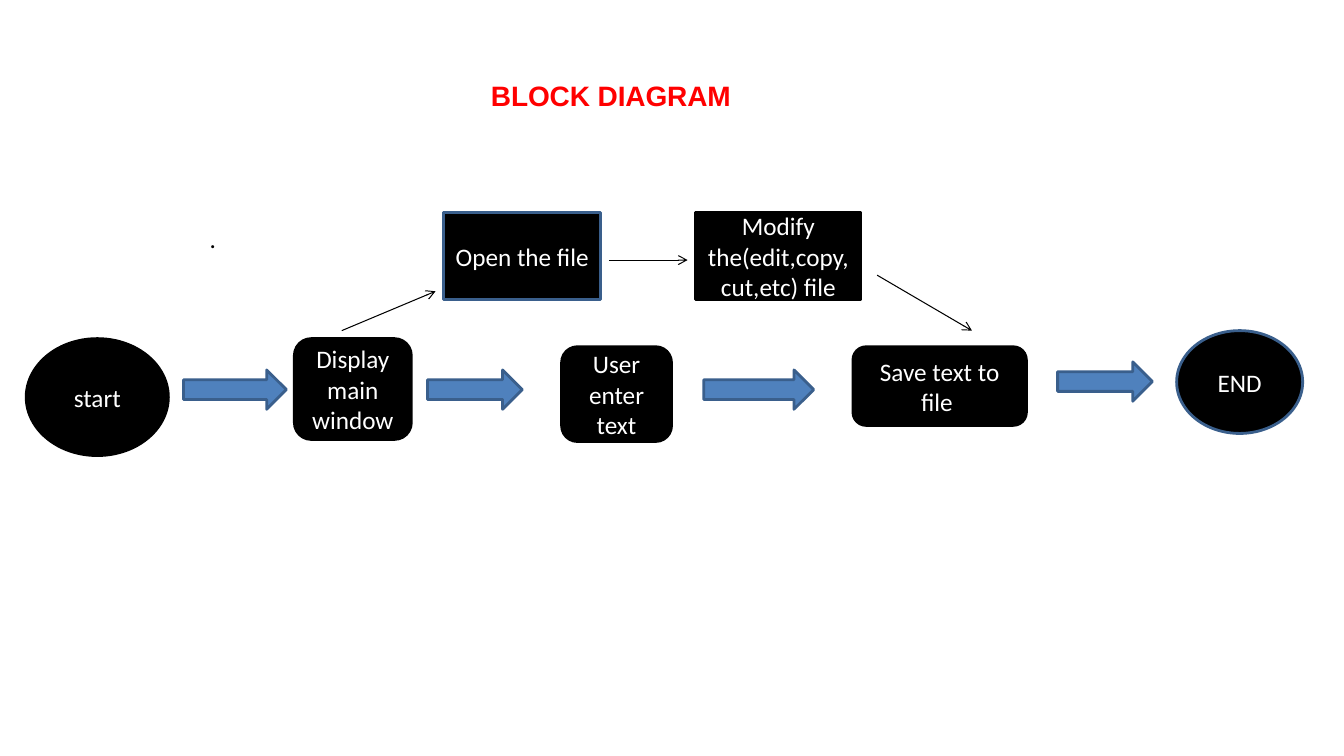
from dataclasses import dataclass

from lxml.etree import SubElement
from pptx import Presentation
from pptx.dml.color import RGBColor
from pptx.enum.shapes import MSO_CONNECTOR, MSO_SHAPE
from pptx.enum.text import MSO_ANCHOR, PP_ALIGN
from pptx.oxml.ns import qn
from pptx.shapes.autoshape import Shape
from pptx.slide import Slide
from pptx.util import Inches, Pt

BLACK = RGBColor(0x00, 0x00, 0x00)
WHITE = RGBColor(0xFF, 0xFF, 0xFF)
RED = RGBColor(0xFF, 0x00, 0x00)
BLUE = RGBColor(0x4F, 0x81, 0xBD)
DARK_BLUE = RGBColor(0x3A, 0x5F, 0x8C)


@dataclass(frozen=True)
class Label:
    text: str
    left: float
    top: float
    width: float
    height: float
    inset_top: float
    space_before: float
    size: float
    font: str
    color: RGBColor
    bold: bool
    spacing: int


@dataclass(frozen=True)
class Step:
    text: str
    outline: MSO_SHAPE
    left: float
    top: float
    width: float
    height: float
    border: RGBColor = BLACK


@dataclass(frozen=True)
class BlockArrow:
    left: float
    width: float
    top: float = 3.67
    height: float = 0.39


@dataclass(frozen=True)
class Link:
    start_x: float
    start_y: float
    end_x: float
    end_y: float


LABELS = [
    Label("BLOCK DIAGRAM", 4.86, 0.71, 3.36, 0.41, 0.07, 5.1, 20, "Arial", RED, True, -10),
    Label(".", 2.07, 2.21, 0.09, 0.33, 0.01, 1, 18, "Calibri", BLACK, False, -50),
]
STEPS = [
    Step("start", MSO_SHAPE.OVAL, 0.26, 3.36, 1.41, 1.16),
    Step("Display main window", MSO_SHAPE.ROUNDED_RECTANGLE, 2.92, 3.36, 1.16, 1),
    Step("User enter text", MSO_SHAPE.ROUNDED_RECTANGLE, 5.57, 3.44, 1.09, 0.94),
    Step("Save text to file ", MSO_SHAPE.ROUNDED_RECTANGLE, 8.46, 3.44, 1.72, 0.78),
    Step("END", MSO_SHAPE.OVAL, 11.67, 3.28, 1.25, 1.02, DARK_BLUE),
    Step("Open the file", MSO_SHAPE.RECTANGLE, 4.4, 2.11, 1.56, 0.86, DARK_BLUE),
    Step("Modify the(edit,copy,cut,etc) file", MSO_SHAPE.RECTANGLE, 6.9, 2.11, 1.64, 0.86),
]
BLOCK_ARROWS = [
    BlockArrow(1.82, 1.02),
    BlockArrow(4.24, 0.94),
    BlockArrow(6.98, 1.09),
    BlockArrow(10.49, 0.94, top=3.59),
]
LINKS = [
    Link(3.39, 3.28, 4.32, 2.89),
    Link(6.04, 2.58, 6.82, 2.58),
    Link(8.7, 2.73, 9.64, 3.28),
]


def draw_label(slide: Slide, label: Label) -> None:
    box = slide.shapes.add_textbox(
        Inches(label.left), Inches(label.top), Inches(label.width), Inches(label.height)
    )
    frame = box.text_frame
    frame.word_wrap = True
    frame.margin_left = frame.margin_right = frame.margin_bottom = 0
    frame.margin_top = Inches(label.inset_top)
    paragraph = frame.paragraphs[0]
    paragraph.space_before = Pt(label.space_before)
    properties = paragraph._p.get_or_add_pPr()
    properties.set("marL", str(Inches(0.01)))
    properties.set("indent", "0")
    run = paragraph.add_run()
    run.text = label.text
    run.font.name = label.font
    run.font.size = Pt(label.size)
    run.font.bold = label.bold
    run.font.color.rgb = label.color
    run._r.get_or_add_rPr().set("spc", str(label.spacing))


def draw_filled(
    slide: Slide, outline: MSO_SHAPE, part: Step | BlockArrow, fill: RGBColor, border: RGBColor
) -> Shape:
    shape = slide.shapes.add_shape(
        outline, Inches(part.left), Inches(part.top), Inches(part.width), Inches(part.height)
    )
    shape.shadow.inherit = False
    shape.fill.solid()
    shape.fill.fore_color.rgb = fill
    shape.line.color.rgb = border
    shape.line.width = Pt(2)
    return shape


def draw_step(slide: Slide, step: Step) -> None:
    frame = draw_filled(slide, step.outline, step, BLACK, step.border).text_frame
    frame.word_wrap = True
    frame.vertical_anchor = MSO_ANCHOR.MIDDLE
    paragraph = frame.paragraphs[0]
    paragraph.alignment = PP_ALIGN.CENTER
    run = paragraph.add_run()
    run.text = step.text
    run.font.name = "Calibri"
    run.font.size = Pt(18)
    run.font.color.rgb = WHITE


def draw_link(slide: Slide, link: Link) -> None:
    connector = slide.shapes.add_connector(
        MSO_CONNECTOR.STRAIGHT,
        Inches(link.start_x), Inches(link.start_y), Inches(link.end_x), Inches(link.end_y),
    )
    connector.line.color.rgb = BLACK
    connector.line.width = Pt(0.75)
    SubElement(connector.line._get_or_add_ln(), qn("a:tailEnd"), type="arrow")
    SubElement(connector._element.spPr, qn("a:effectLst"))


def main() -> None:
    presentation = Presentation()
    presentation.slide_width = Inches(13.33)
    presentation.slide_height = Inches(7.5)
    slide = presentation.slides.add_slide(presentation.slide_layouts[6])
    for label in LABELS:
        draw_label(slide, label)
    for step in STEPS:
        draw_step(slide, step)
    for arrow in BLOCK_ARROWS:
        draw_filled(slide, MSO_SHAPE.RIGHT_ARROW, arrow, BLUE, DARK_BLUE)
    for link in LINKS:
        draw_link(slide, link)
    presentation.save("out.pptx")


if __name__ == "__main__":
    main()
